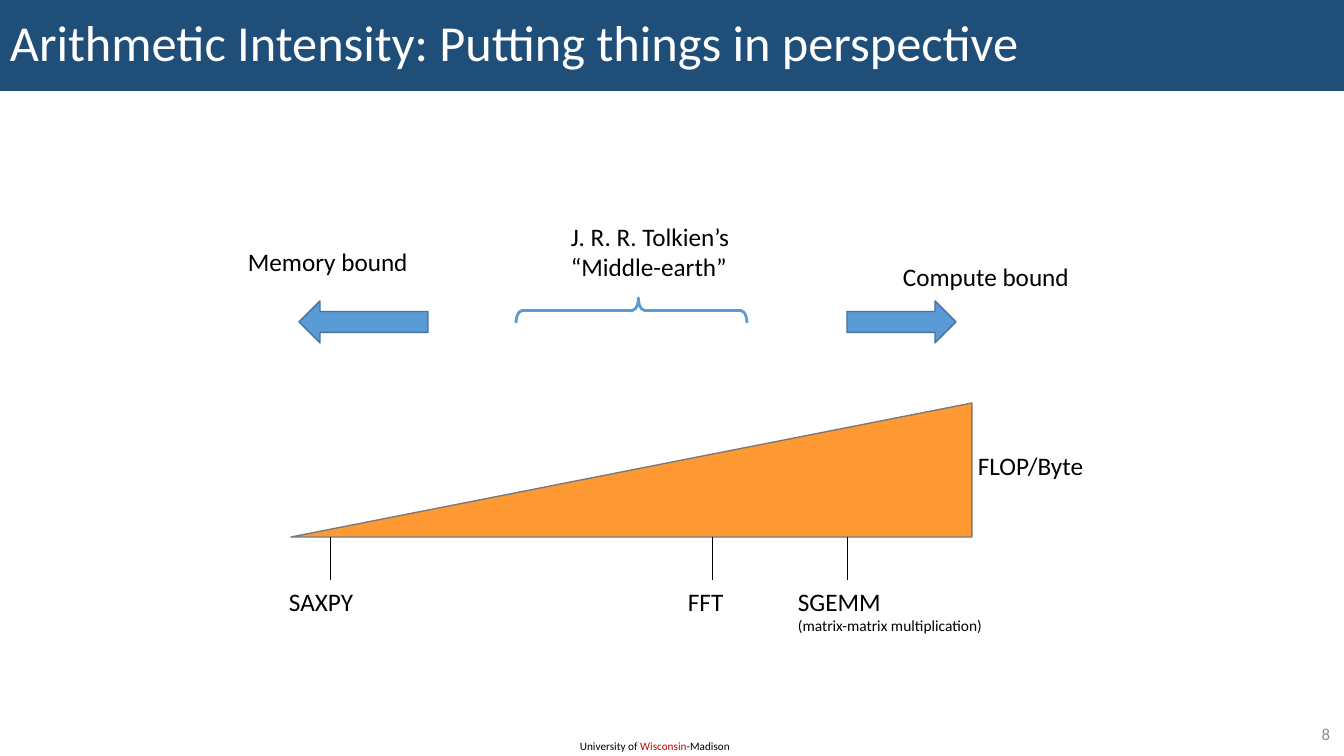
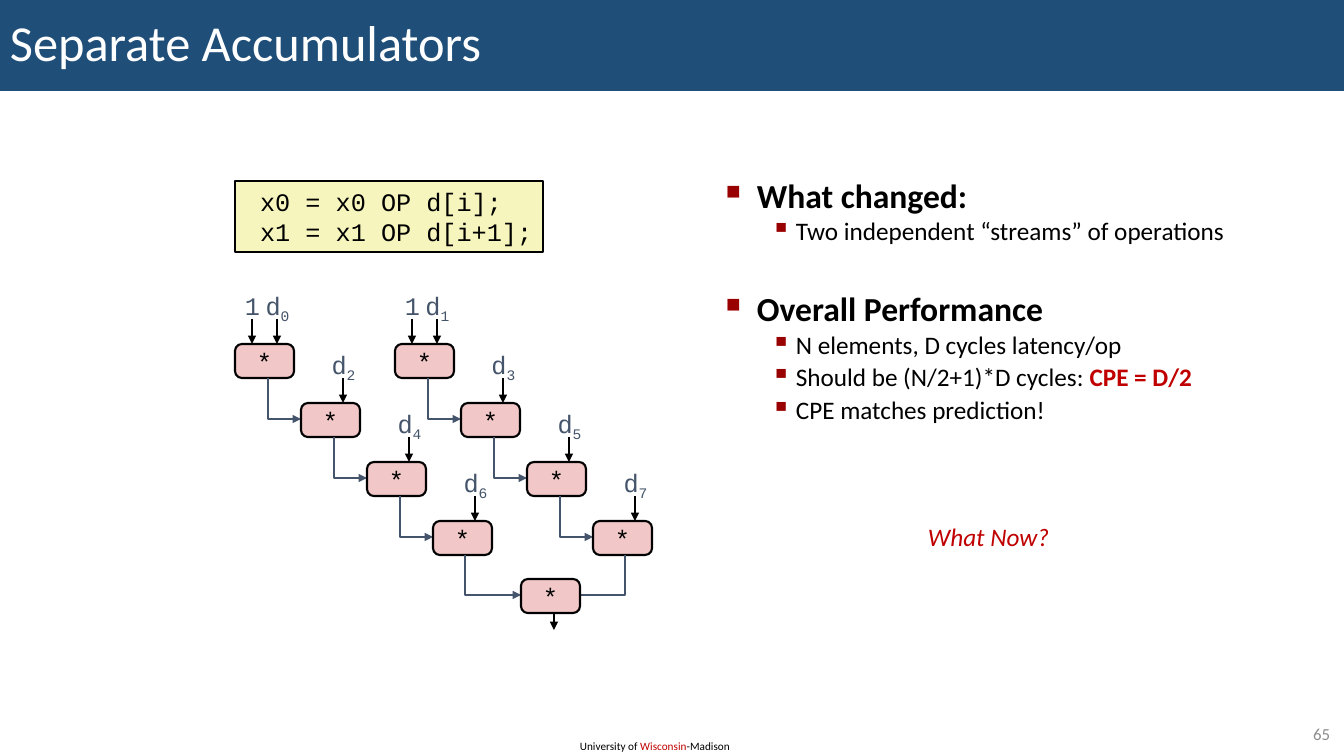
from lxml import etree
from pptx import Presentation
from pptx import util as u
from pptx.dml.color import RGBColor
from pptx.enum import shapes, text
from pptx.oxml import ns

PX = 914400 / 100.8
WIDTH, HEIGHT = 1344, 756
SANS, MONO = "Calibri", "Courier New"
COLORS = {
    "band": "1F4E79", "white": "FFFFFF", "ink": "000000", "red": "C00000",
    "number": "8C8C8C", "wedge": "FF9933", "wedge_edge": "7A7A7A",
    "arrow": "5B9BD5", "arrow_edge": "43739E", "node": "F1C7C7",
    "slate": "44546A", "code": "F6F5BD", "bullet": "990000",
}
LEFT, CENTER, RIGHT = text.PP_ALIGN.LEFT, text.PP_ALIGN.CENTER, text.PP_ALIGN.RIGHT
TOP, MIDDLE = text.MSO_ANCHOR.TOP, text.MSO_ANCHOR.MIDDLE
SHAPE = shapes.MSO_SHAPE


def px(*lengths):
    return [u.Emu(round(length * PX)) for length in lengths]


def rgb(name):
    return RGBColor.from_string(COLORS[name])


def add_xml(parent, tag, **attributes):
    return etree.SubElement(parent, ns.qn(tag), attributes)


# Text
def write(frame, paragraphs, size=18, font=SANS, color="ink", bold=False,
          italic=False, align=LEFT, anchor=TOP, wrap=False, inset=None,
          spacing=None):
    """Each paragraph is a string or a list of (text, overrides) runs."""
    frame.word_wrap = wrap
    frame.vertical_anchor = anchor
    if inset is not None:
        frame.margin_left = frame.margin_right = px(inset)[0]
    if isinstance(paragraphs, str):
        paragraphs = [paragraphs]
    for index, runs in enumerate(paragraphs):
        paragraph = frame.add_paragraph() if index else frame.paragraphs[0]
        paragraph.alignment = align
        if spacing:
            paragraph.line_spacing = spacing
        for words, own in [(runs, {})] if isinstance(runs, str) else runs:
            run = paragraph.add_run()
            run.text = words
            run.font.name = font
            run.font.size = u.Pt(own.get("size", size))
            run.font.bold = own.get("bold", bold)
            run.font.italic = italic
            run.font.color.rgb = rgb(own.get("color", color))
            if "baseline" in own:
                run.font._element.set("baseline", str(own["baseline"] * 1000))


def label(slide, box, content, **style):
    frame = slide.shapes.add_textbox(*px(*box)).text_frame
    write(frame, content, **style)
    return frame


# Shapes and lines
def block(slide, kind, box, fill=None, edge=None, weight=1):
    shape = slide.shapes.add_shape(kind, *px(*box))
    shape.shadow.inherit = False
    if fill:
        shape.fill.solid()
        shape.fill.fore_color.rgb = rgb(fill)
    else:
        shape.fill.background()
    if edge:
        shape.line.color.rgb = rgb(edge)
        shape.line.width = u.Pt(weight)
    else:
        shape.line.fill.background()
    return shape


def arrowhead(line):
    outline = line._element.spPr.get_or_add_ln()
    add_xml(outline, "a:tailEnd", type="triangle")


def vertical(slide, x, top, bottom, weight=1.5, head=True):
    line = slide.shapes.add_connector(
        shapes.MSO_CONNECTOR.STRAIGHT, *px(x, top, x, bottom))
    line.line.color.rgb = rgb("ink")
    line.line.width = u.Pt(weight)
    if head:
        arrowhead(line)
    add_xml(line._element.spPr, "a:effectLst")


def elbow(slide, x, top, end_x, end_y, head=True):
    builder = slide.shapes.build_freeform(*px(x, top), scale=1.0)
    builder.add_line_segments(
        [tuple(px(x, end_y)), tuple(px(end_x, end_y))], close=False)
    bend = builder.convert_to_shape()
    bend.shadow.inherit = False
    bend.fill.background()
    bend.line.color.rgb = rgb("slate")
    bend.line.width = u.Pt(1.5)
    if head:
        arrowhead(bend)


# Parts shared by the slides
def start_slide(deck, title, number):
    slide = deck.slides.add_slide(deck.slide_layouts[6])
    band = block(slide, SHAPE.RECTANGLE, (0, 0, WIDTH, 91), "band")
    write(band.text_frame, title, size=36, color="white", anchor=MIDDLE,
          wrap=True, spacing=0.9)
    label(slide, (570, 734, 173, 24),
          [[("University of ", {}), ("Wisconsin", {"color": "red"}),
            ("-Madison", {})]], size=8, wrap=True)
    label(slide, (1263, 719, 77, 29), str(number), size=12, color="number",
          align=RIGHT, anchor=MIDDLE, wrap=True)
    return slide


# Intensity slide: wedge with kernels marked below its base
def intensity_wedge(slide, left, top, width, height):
    wedge = block(slide, SHAPE.RIGHT_TRIANGLE, (left, top, width, height),
                  "wedge", "wedge_edge")
    wedge._element.spPr.xfrm.set("flipH", "1")
    label(slide, (left + width - 4, top + 42, 127, 40), "FLOP/Byte")
    base = top + height
    sgemm = ["SGEMM", [("(matrix-matrix multiplication)", {"size": 11})]]
    for tick, name_left, name_width, name in (
            (39, -12, 85, "SAXPY"), (421, 387, 56, "FFT"),
            (556, 497, 207, sgemm)):
        vertical(slide, left + tick, base, base + 43, weight=0.5, head=False)
        label(slide, (left + name_left, base + 44, name_width, 40), name)


# Intensity slide: the two bounds and the range between them
def bound_markers(slide, left, top):
    for kind, x, width in ((SHAPE.LEFT_ARROW, 0, 129),
                           (SHAPE.RIGHT_ARROW, 548, 109)):
        block(slide, kind, (left + x, top, width, 42), "arrow", "arrow_edge")
    brace = block(slide, SHAPE.RIGHT_BRACE, (left + 320, top - 106, 25, 231),
                  edge="arrow", weight=2)
    brace.rotation = 270
    brace.adjustments[0], brace.adjustments[1] = 0.25, 0.53
    for x, y, width, height, name in (
            (-61, -60, 182, 40, "Memory bound"),
            (262, -85, 186, 72, ["J. R. R. Tolkien’s", "“Middle-earth”"]),
            (594, -45, 189, 40, "Compute bound")):
        label(slide, (left + x, top + y, width, height), name)


# Accumulator slide: two staircases of operations that meet in one
NODE_W, NODE_H = 59, 34
STEP_X, STEP_Y = 66, 59
STREAM_GAP, STEPS = 160, 4
INPUT_X, OUTPUT_X, ENTRY_Y = 42, 33, 16


def operation(slide, left, top):
    node = block(slide, SHAPE.ROUNDED_RECTANGLE, (left, top, NODE_W, NODE_H),
                 "node", "ink", 1.5)
    node.adjustments[0] = 0.2
    write(node.text_frame, "*", font=MONO, align=CENTER, anchor=MIDDLE)


def operand(slide, left, top, width, runs):
    label(slide, (left, top - 59, width, 40), [runs], font=MONO,
          color="slate", align=CENTER, inset=5)


def stream(slide, left, top, first):
    operand(slide, left + 5, top, 25, [("1", {})])
    vertical(slide, left + 17, top - 25, top)
    for step in range(STEPS):
        x, y = left + step * STEP_X, top + step * STEP_Y
        operation(slide, x, y)
        vertical(slide, x + INPUT_X, y - 25, y)
        operand(slide, x + 25, y, 35,
                [("d", {}), (str(first + 2 * step), {"baseline": -25})])
        if step < STEPS - 1:
            elbow(slide, x + OUTPUT_X, y + NODE_H,
                  x + STEP_X, y + STEP_Y + ENTRY_Y)


def accumulator_tree(slide, left, top):
    join_x, join_y = left + 286, top + 235
    vertical(slide, join_x + OUTPUT_X, join_y + NODE_H - 8, join_y + 51)
    for index, entry in enumerate((join_x, join_x + NODE_W)):
        stream_left = left + index * STREAM_GAP
        stream(slide, stream_left, top, index)
        last = STEPS - 1
        elbow(slide, stream_left + last * STEP_X + 32,
              top + last * STEP_Y + NODE_H, entry, join_y + ENTRY_Y,
              head=index == 0)
    operation(slide, join_x, join_y)


def code_box(slide, *box):
    listing = block(slide, SHAPE.RECTANGLE, box, "code", "ink")
    write(listing.text_frame, [" x0 = x0 OP d[i];", " x1 = x1 OP d[i+1];"],
          font=MONO)


def bullet_list(slide, box, items):
    """Each item is (level, space before in points, line spacing, runs)."""
    looks = ((31, 31, "■", 60), (70, 25, "▪", 110))
    frame = label(slide, box, [runs for *_, runs in items], wrap=True)
    for paragraph, (level, before, spacing, _) in zip(frame.paragraphs, items):
        margin, hang, mark, percent = looks[level]
        paragraph.level = level
        paragraph.line_spacing = spacing
        if before:
            paragraph.space_before = u.Pt(before)
        props = paragraph._p.get_or_add_pPr()
        props.set("marL", str(px(margin)[0]))
        props.set("indent", str(-px(hang)[0]))
        add_xml(add_xml(props, "a:buClr"), "a:srgbClr", val=COLORS["bullet"])
        add_xml(props, "a:buSzPct", val=str(percent * 1000))
        add_xml(props, "a:buChar", char=mark)


def intensity_slide(deck):
    slide = start_slide(
        deck, "Arithmetic Intensity: Putting things in perspective", 8)
    intensity_wedge(slide, 291, 403, 681, 134)
    bound_markers(slide, 299, 301)


def accumulators_slide(deck):
    slide = start_slide(deck, "Separate Accumulators", 65)
    code_box(slide, 235, 181, 308, 71)
    accumulator_tree(slide, 235, 344)
    heading = {"size": 24, "bold": True}
    bullet_list(slide, (716, 176, 547, 345), [
        (0, 0, 0.85, [("What changed:", heading)]),
        (1, 3.6, 0.85, "Two independent “streams” of operations"),
        (0, 34, 0.85, [("Overall Performance", heading)]),
        (1, 3.6, 0.9, "N elements, D cycles latency/op"),
        (1, 3.6, 0.9, [("Should be (N/2+1)*D cycles: ", {}),
                       ("CPE = D/2", {"color": "red", "bold": True})]),
        (1, 3.6, 0.9, "CPE matches prediction!"),
    ])
    label(slide, (918, 516, 143, 40), "What Now?", color="red", italic=True)


def main():
    deck = Presentation()
    deck.slide_width, deck.slide_height = px(WIDTH, HEIGHT)
    intensity_slide(deck)
    accumulators_slide(deck)
    deck.save("out.pptx")


if __name__ == "__main__":
    main()
